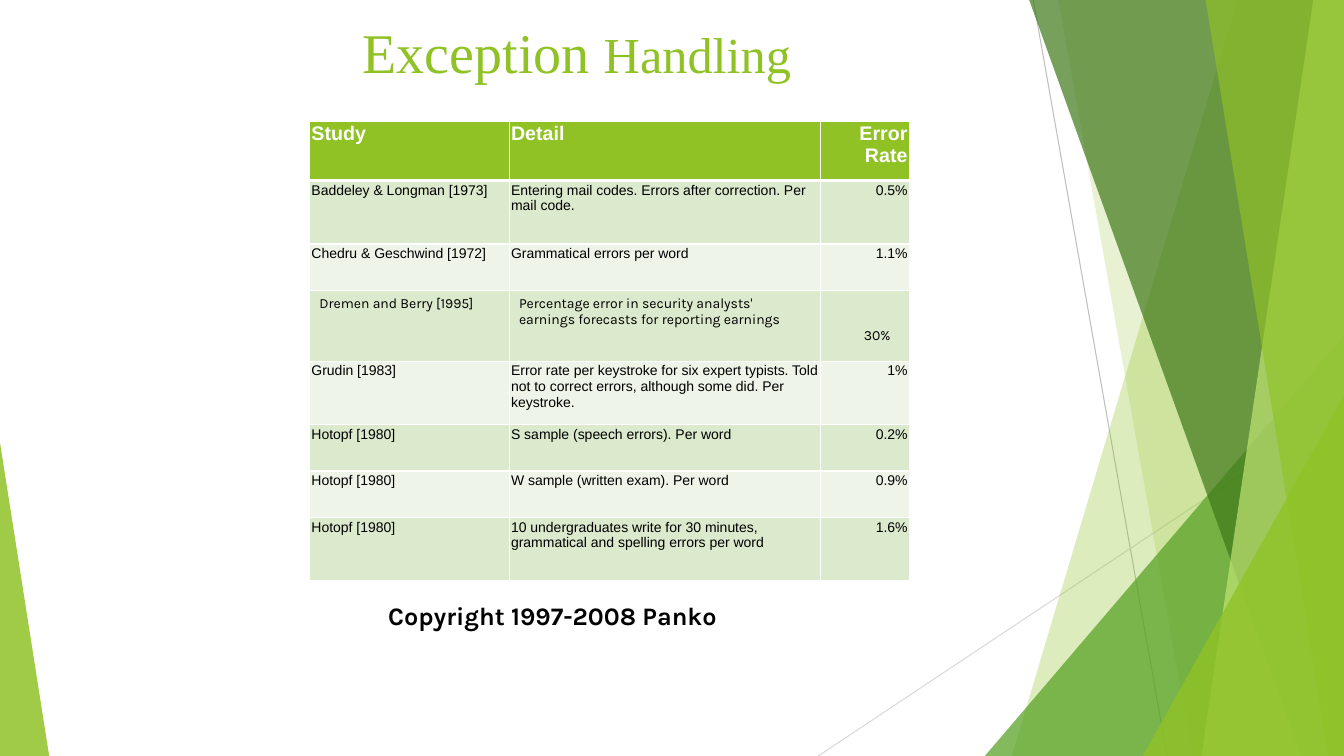
from lxml import etree
from pptx import Presentation
from pptx.dml.color import RGBColor
from pptx.enum.shapes import MSO_CONNECTOR, MSO_SHAPE
from pptx.enum.text import MSO_ANCHOR, MSO_AUTO_SIZE, PP_ALIGN
from pptx.oxml.ns import qn
from pptx.util import Cm, Pt

LINE = MSO_CONNECTOR.STRAIGHT
WEDGE = MSO_SHAPE.ISOSCELES_TRIANGLE
TOP = MSO_ANCHOR.TOP
LEFT, MID, RIGHT = PP_ALIGN.LEFT, PP_ALIGN.CENTER, PP_ALIGN.RIGHT
FIT = MSO_AUTO_SIZE.SHAPE_TO_FIT_TEXT
WIDE, HIGH = 33.87, 19.05

HUES = {
    "lime": "90C226", "leaf": "54A021", "moss": "3F7819", "pale": "C0E474",
    "grey": "BFBFBF", "mist": "D9D9D9", "white": "FFFFFF", "black": "000000",
    "band": "DBE9CD", "light": "EEF4E8",
}


def write(para, text, font, size, hue, bold=False):
    run = para.add_run()
    run.text = text
    run.font.name = font
    run.font.size = Pt(size)
    run.font.bold = bold
    run.font.color.rgb = RGBColor.from_string(HUES[hue])


def tint(shape, hue, alpha):
    shape.shadow.inherit = False
    shape.fill.solid()
    shape.fill.fore_color.rgb = RGBColor.from_string(HUES[hue])
    shape.line.fill.background()
    color = shape._element.spPr.find(qn("a:solidFill"))[0]
    etree.SubElement(color, qn("a:alpha")).set("val", str(alpha * 1000))


deck = Presentation()
deck.slide_width, deck.slide_height = Cm(WIDE), Cm(HIGH)
slide = deck.slides.add_slide(deck.slide_layouts[5])

decor = slide.shapes.add_group_shape().shapes
for x1, y1, x2, y2, hue in [
    (26.04, 0, 29.41, HIGH, "grey"),
    (WIDE, 10.24, 20.62, HIGH, "mist"),
]:
    line = decor.add_connector(LINE, Cm(x1), Cm(y1), Cm(x2), Cm(y2))
    line.line.color.rgb = RGBColor.from_string(HUES[hue])
    line.line.width = Pt(0.75)
    etree.SubElement(line._element.spPr, qn("a:effectLst"))

for kind, a, b, hue, alpha in [
    ("pane", 31.19, 25.5, "lime", 30),
    ("pane", 26.67, 30.05, "lime", 20),
    ("wedge", 24.82, 8.46, "leaf", 72),
    ("pane", 25.93, 32.79, "moss", 70),
    ("pane", 33.1, 30.28, "pale", 70),
    ("pane", 30.38, 33.48, "lime", 65),
    ("wedge", 28.8, 9.98, "lime", 80),
    ("wedge", 0, 11.15, "lime", 85),
]:
    if kind == "pane":
        pen = decor.build_freeform(Cm(a), Cm(-0.02))
        pen.add_line_segments(
            [(Cm(WIDE), Cm(-0.02)), (Cm(WIDE), Cm(HIGH)), (Cm(b), Cm(HIGH))]
        )
        part = pen.convert_to_shape()
    else:
        span = WIDE - a if a else 1.24
        part = decor.add_shape(WEDGE, Cm(a), Cm(b), Cm(span), Cm(HIGH - b))
        part.adjustments[0] = 1 if a else 0
    tint(part, hue, alpha)

title = slide.shapes.title
title.left, title.top = Cm(8.89), Cm(0.13)
title.width, title.height = Cm(14.27), Cm(2.59)
frame = title.text_frame
frame.auto_size = MSO_AUTO_SIZE.NONE
frame.vertical_anchor = TOP
frame.margin_top = Cm(0.3)
head = frame.paragraphs[0]
head.alignment = LEFT
write(head, "Exception ", "Times New Roman", 40, "lime")
write(head, "Handling", "Times New Roman", 36, "lime")

rows = [
    ("Study", "Detail", "Error Rate"),
    ("Baddeley & Longman [1973]",
     "Entering mail codes. Errors after correction. Per mail code.", "0.5%"),
    ("Chedru & Geschwind [1972]", "Grammatical errors per word", "1.1%"),
    ("Dremen and Berry [1995]",
     "Percentage error in security analysts' earnings forecasts for reporting earnings",
     "30%"),
    ("Grudin [1983]",
     "Error rate per keystroke for six expert typists. "
     "Told not to correct errors, although some did. Per keystroke.", "1%"),
    ("Hotopf [1980]", "S sample (speech errors). Per word", "0.2%"),
    ("Hotopf [1980]", "W sample (written exam). Per word", "0.9%"),
    ("Hotopf [1980]",
     "10 undergraduates write for 30 minutes, grammatical and spelling errors per word",
     "1.6%"),
]
widths = [5.03, 7.85, 2.24]
highs = [1.5, 1.6, 1.17, 1.78, 1.6, 1.17, 1.17, 1.6]
KARLA = 3

table = slide.shapes.add_table(
    len(rows), len(widths), Cm(7.8), Cm(3.05), Cm(sum(widths)), Cm(sum(highs))
).table
for col, width in zip(table.columns, widths):
    col.width = Cm(width)
for r, (row, high) in enumerate(zip(rows, highs)):
    table.rows[r].height = Cm(high)
    for c, text in enumerate(row):
        cell = table.cell(r, c)
        cell.vertical_anchor = TOP
        side, rise = (0.25, 0.13) if r == KARLA else (0.05, 0.05)
        cell.margin_left = cell.margin_right = Cm(side)
        cell.margin_top = cell.margin_bottom = Cm(rise)
        if r == KARLA and c == 2:
            cell.margin_top, cell.margin_right = Cm(0.94), Cm(0.48)
        props = cell._tc.get_or_add_tcPr()
        for edge in ("L", "R", "T", "B"):
            thick = (r == 0 and edge == "B") or (r == 1 and edge == "T")
            rule = etree.SubElement(props, qn("a:ln" + edge))
            rule.set("w", str(Pt(3 if thick else 1)))
            fill = etree.SubElement(rule, qn("a:solidFill"))
            etree.SubElement(fill, qn("a:srgbClr")).set("val", HUES["white"])
        hue = "lime" if r == 0 else "band" if r % 2 else "light"
        cell.fill.solid()
        cell.fill.fore_color.rgb = RGBColor.from_string(HUES[hue])
        para = cell.text_frame.paragraphs[0]
        para.alignment = RIGHT if c == 2 else LEFT
        if r == 0:
            write(para, text, "Arial", 14, "white", True)
        else:
            write(para, text, "Karla" if r == KARLA else "Arial", 10, "black")

note = slide.shapes.add_textbox(Cm(9.53), Cm(15.01), Cm(8.79), Cm(1.02))
note.text_frame.word_wrap = False
note.text_frame.auto_size = FIT
para = note.text_frame.paragraphs[0]
para.alignment = MID
write(para, "Copyright 1997-2008 Panko", "Karla", 18, "black", True)

deck.save("out.pptx")
